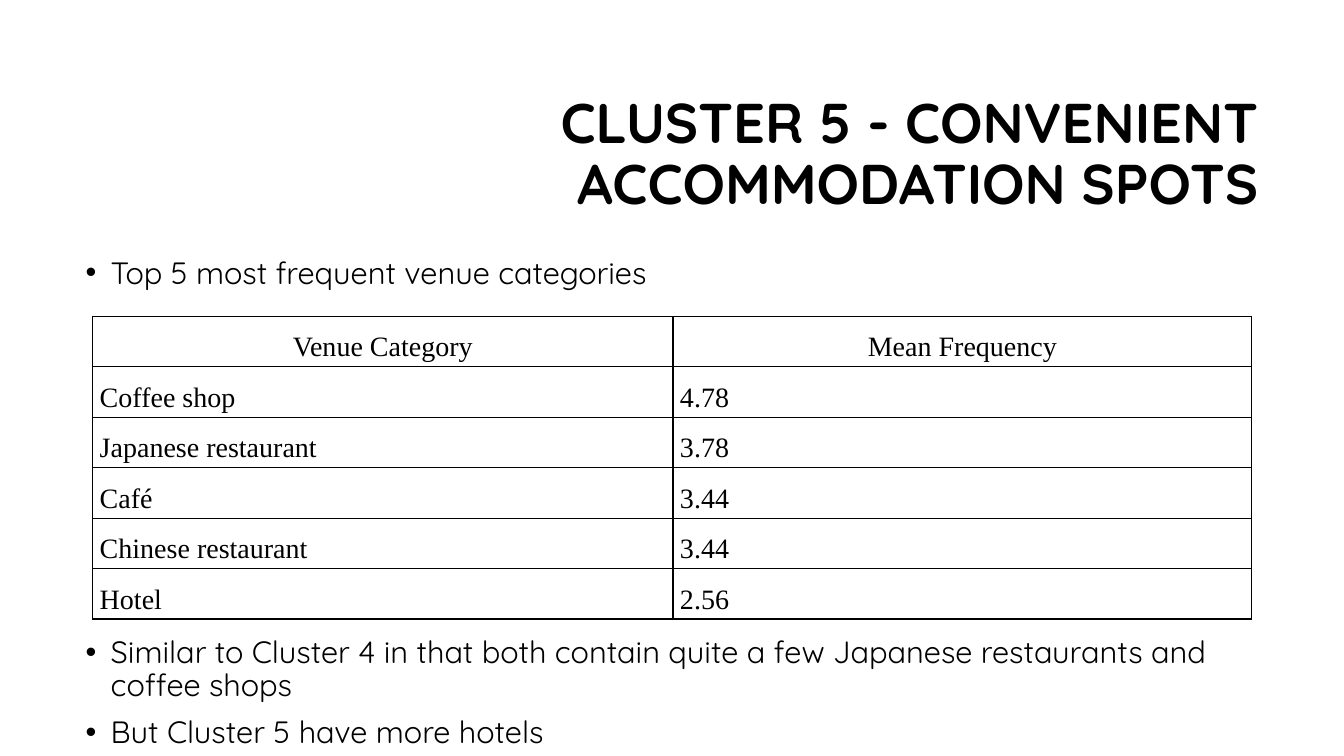
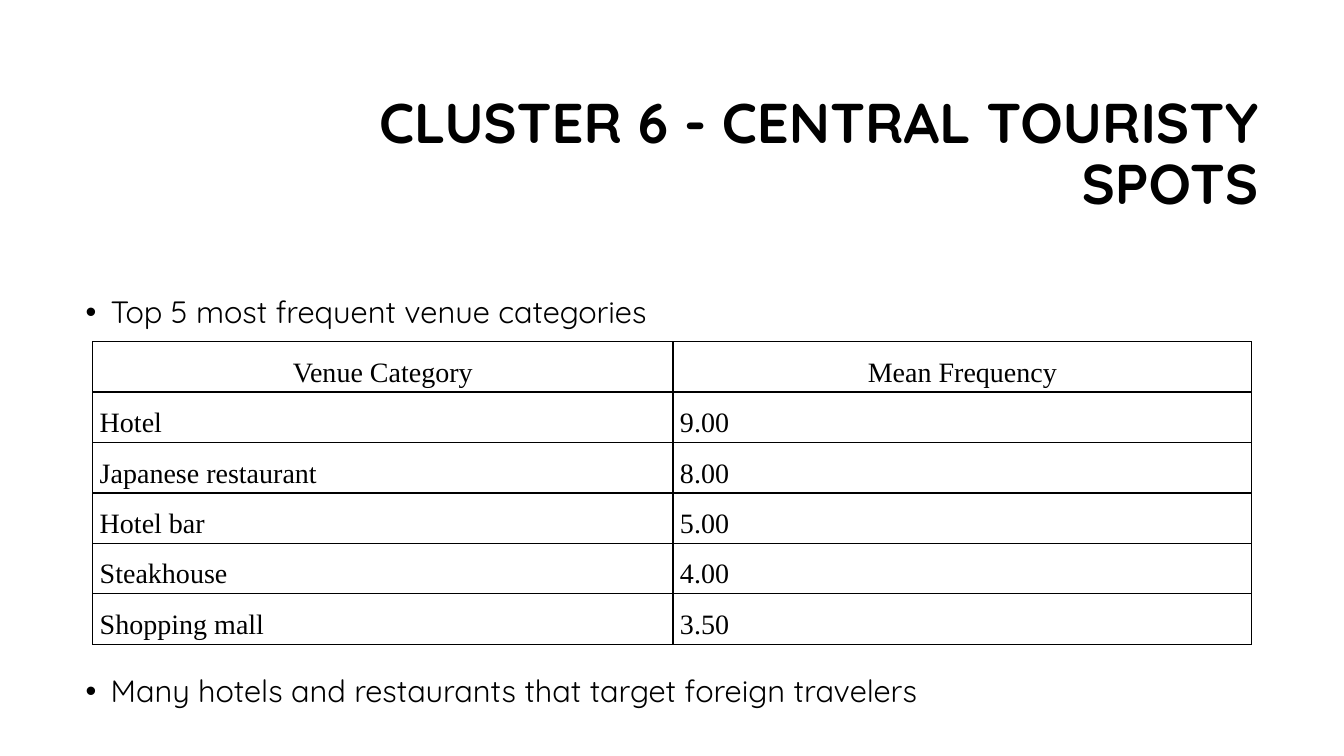
"""Build two slides describing venue clusters."""
from lxml import etree
from pptx import Presentation
from pptx.dml.color import RGBColor
from pptx.enum import text
from pptx.oxml import ns
from pptx.util import Pt

BLACK = RGBColor(0, 0, 0)
WHITE = RGBColor(255, 255, 255)
HEADING_FONT = "Quicksand"
TABLE_FONT = "Times New Roman"
BODY_LEFT, BODY_WIDTH = 54, 852
NOTES_OFFSET = 270.7
ROW_HEIGHT = 34.5
COLUMN_WIDTHS = (414.5, 413.5)
TABLE_HEADER = ("Venue Category", "Mean Frequency")
LEAD = "Top 5 most frequent venue categories"

CLUSTERS = (
    {
        "title": "CLUSTER 5 - CONVENIENT ACCOMMODATION SPOTS",
        "lead_top": 184,
        "table_top": 226,
        "venues": (
            ("Coffee shop", "4.78"),
            ("Japanese restaurant", "3.78"),
            ("Café", "3.44"),
            ("Chinese restaurant", "3.44"),
            ("Hotel", "2.56"),
        ),
        "notes": (
            "Similar to Cluster 4 in that both contain quite a few Japanese restaurants and coffee shops",
            "But Cluster 5 have more hotels",
        ),
    },
    {
        "title": "CLUSTER 6 - CENTRAL TOURISTY SPOTS",
        "lead_top": 212,
        "table_top": 244,
        "venues": (
            ("Hotel", "9.00"),
            ("Japanese restaurant", "8.00"),
            ("Hotel bar", "5.00"),
            ("Steakhouse", "4.00"),
            ("Shopping mall", "3.50"),
        ),
        "notes": ("Many hotels and restaurants that target foreign travelers",),
    },
)


def add_run(paragraph, words, font_name, size, bold=False):
    run = paragraph.add_run()
    run.text = words
    run.font.name = font_name
    run.font.size = Pt(size)
    run.font.bold = bold
    run.font.color.rgb = BLACK


def add_text_frame(slide, left, top, width, height):
    frame = slide.shapes.add_textbox(Pt(left), Pt(top), Pt(width), Pt(height)).text_frame
    frame.word_wrap = True
    frame.margin_top = frame.margin_bottom = 0
    return frame


def add_title(slide, words):
    frame = add_text_frame(slide, 228, 60.5, 678, 101.5)
    frame.vertical_anchor = text.MSO_ANCHOR.MIDDLE
    paragraph = frame.paragraphs[0]
    paragraph.alignment = text.PP_ALIGN.RIGHT
    paragraph.line_spacing = 0.9
    add_run(paragraph, words, HEADING_FONT, 40, bold=True)


def add_bullets(slide, top, height, items):
    frame = add_text_frame(slide, BODY_LEFT, top, BODY_WIDTH, height)
    for index, item in enumerate(items):
        paragraph = frame.add_paragraph() if index else frame.paragraphs[0]
        paragraph.line_spacing = 0.9
        if index:
            paragraph.space_before = Pt(10)
        properties = paragraph._p.get_or_add_pPr()
        properties.set("marL", str(Pt(18)))
        properties.set("indent", str(Pt(-18)))
        etree.SubElement(properties, ns.qn("a:buFont"), typeface="Arial")
        etree.SubElement(properties, ns.qn("a:buChar"), char="•")
        add_run(paragraph, item, HEADING_FONT, 22)


def add_borders(cell):
    properties = cell._tc.get_or_add_tcPr()
    for side in ("a:lnL", "a:lnR", "a:lnT", "a:lnB"):
        line = etree.SubElement(properties, ns.qn(side), w=str(Pt(1)))
        fill = etree.SubElement(line, ns.qn("a:solidFill"))
        etree.SubElement(fill, ns.qn("a:srgbClr"), val=str(BLACK))


def fill_cell(cell, words, alignment):
    cell.margin_left = cell.margin_right = Pt(5)
    cell.margin_top = cell.margin_bottom = 0
    add_borders(cell)
    cell.fill.background()
    paragraph = cell.text_frame.paragraphs[0]
    paragraph.alignment = alignment
    paragraph.line_spacing = 1.5
    add_run(paragraph, words, TABLE_FONT, 20)


def add_venue_table(slide, top, venues):
    rows = (TABLE_HEADER, *venues)
    table = slide.shapes.add_table(
        len(rows), len(COLUMN_WIDTHS), Pt(66.25), Pt(top),
        Pt(sum(COLUMN_WIDTHS)), Pt(ROW_HEIGHT * len(rows)),
    ).table
    table.first_row = table.horz_banding = False
    for column, width in zip(table.columns, COLUMN_WIDTHS):
        column.width = Pt(width)
    for row_index, row in enumerate(rows):
        table.rows[row_index].height = Pt(ROW_HEIGHT)
        alignment = text.PP_ALIGN.LEFT if row_index else text.PP_ALIGN.CENTER
        for column_index, words in enumerate(row):
            fill_cell(table.cell(row_index, column_index), words, alignment)


def add_cluster_slide(presentation, cluster):
    slide = presentation.slides.add_slide(presentation.slide_layouts[6])
    slide.background.fill.solid()
    slide.background.fill.fore_color.rgb = WHITE
    add_title(slide, cluster["title"])
    add_bullets(slide, cluster["lead_top"], 28, (LEAD,))
    add_venue_table(slide, cluster["table_top"], cluster["venues"])
    notes_top = cluster["lead_top"] + NOTES_OFFSET
    add_bullets(slide, notes_top, 540 - notes_top, cluster["notes"])


def main():
    presentation = Presentation()
    presentation.slide_width = Pt(960)
    presentation.slide_height = Pt(540)
    for cluster in CLUSTERS:
        add_cluster_slide(presentation, cluster)
    presentation.save("out.pptx")


if __name__ == "__main__":
    main()
